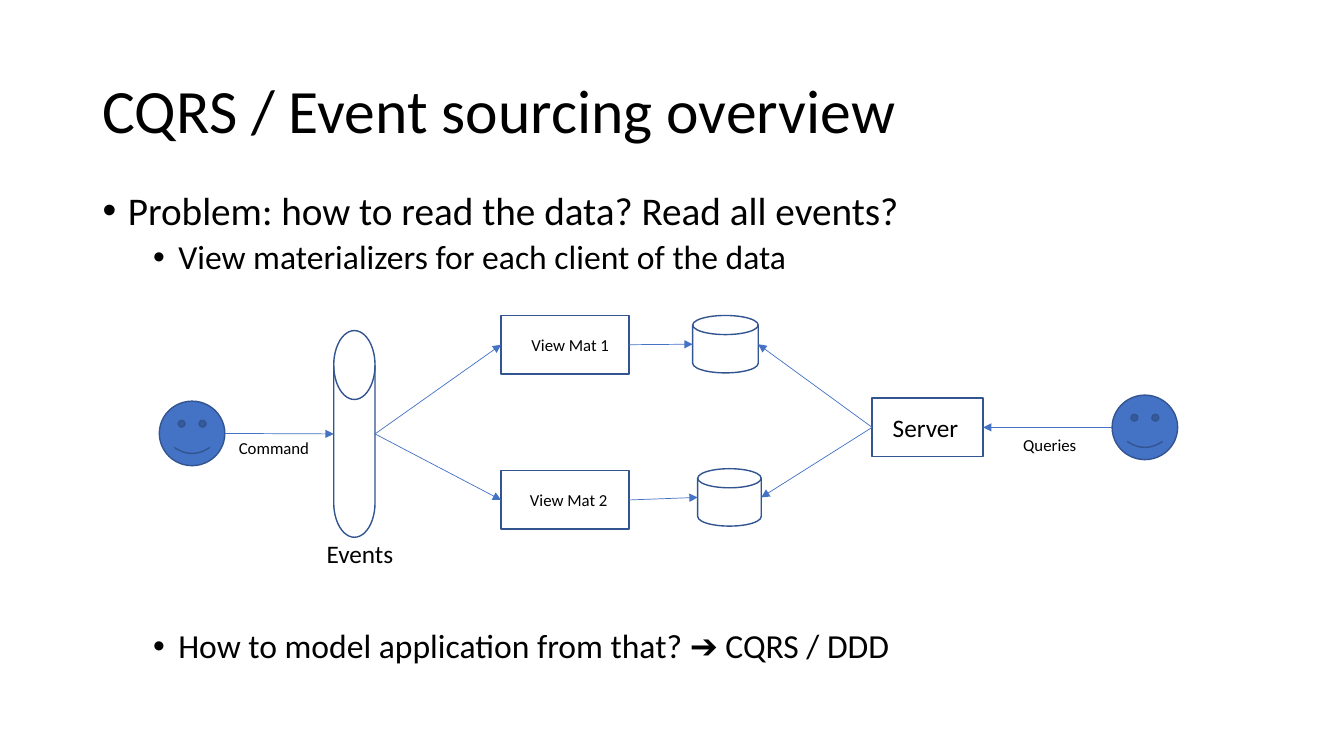
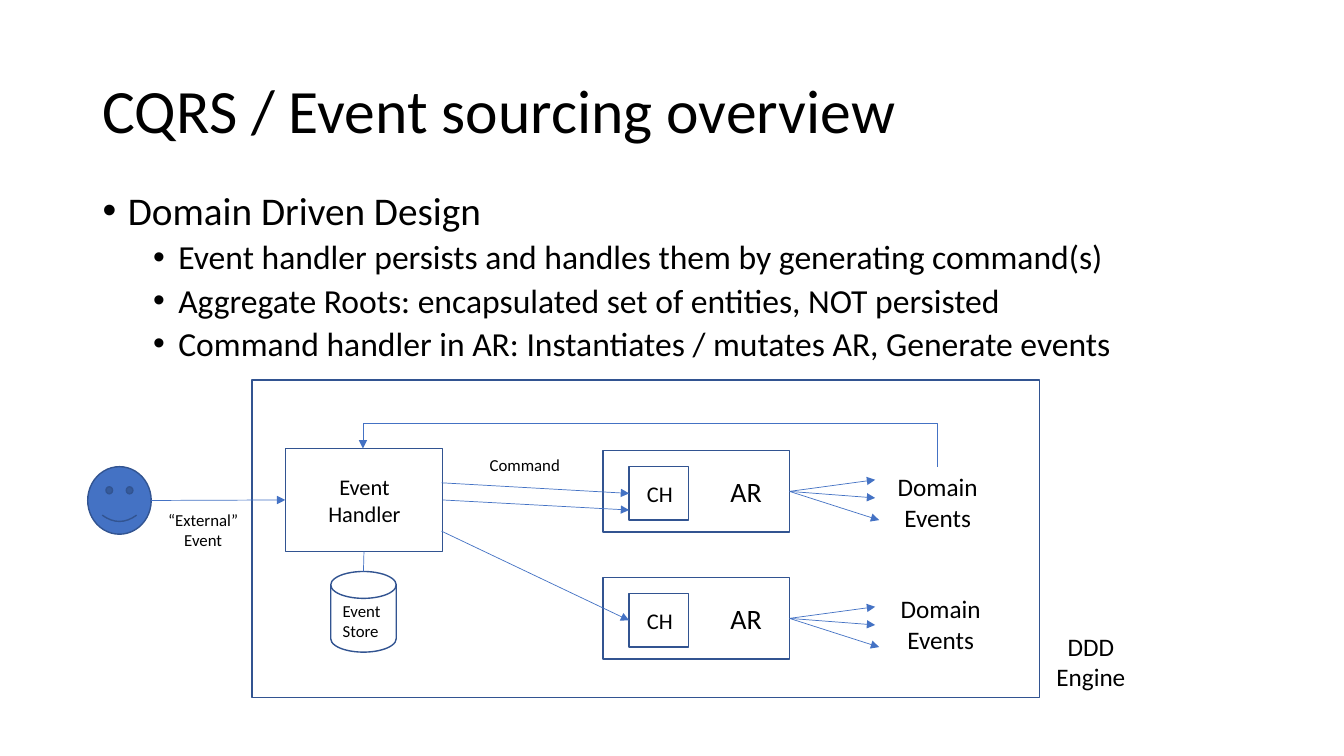
import pptx
import pptx.dml.color
import pptx.enum.shapes
import pptx.enum.text
import pptx.oxml.ns
import pptx.util
from lxml import etree

Inches = pptx.util.Inches
Pt = pptx.util.Pt
qn = pptx.oxml.ns.qn
ALIGN = pptx.enum.text.PP_ALIGN
ANCHOR = pptx.enum.text.MSO_ANCHOR
SHAPE = pptx.enum.shapes.MSO_SHAPE
CONNECTOR = pptx.enum.shapes.MSO_CONNECTOR

FONT = "Calibri"
BLACK, BLUE, OUTLINE = "000000", "4472C4", "325491"
TITLE_AREA = (0.92, 0.4, 11.5, 1.45)
BODY_AREA = (0.92, 1.85, 11.5, 4.91)
BULLETS = [
    {"size": 28, "indent": 0.25, "before": 10},
    {"size": 24, "indent": 0.75, "before": 5},
]
KINDS = {
    "face": SHAPE.SMILEY_FACE,
    "disk": SHAPE.FLOWCHART_MAGNETIC_DISK,
    "box": SHAPE.RECTANGLE,
}
SIDES = {
    "top": (0, 0.5, 0),
    "left": (1, 0, 0.5),
    "bottom": (2, 0.5, 1),
    "right": (3, 1, 0.5),
}

AR_ROWS = [("1", 4.47), ("2", 5.73)]
FAN_TIPS = [(8.68, 0.29), (8.68, 0.47), (8.72, 0.69)]

SLIDES = [
    {
        "title": "CQRS / Event sourcing overview",
        "bullets": [
            (0, "Problem: how to read the data? Read all events?"),
            (1, "View materializers for each client of the data"),
            (1, "How to model application from that? ➔ CQRS / DDD", 252),
        ],
        "shapes": [
            ("writer", "face", (1.58, 3.98, 0.65, 0.64)),
            ("events", "disk", (3.31, 3.28, 0.41, 2.05)),
            ("reader", "face", (11.03, 3.92, 0.65, 0.64)),
            ("store 1", "disk", (6.87, 3.13, 0.65, 0.57)),
            ("view 1", "box", (4.97, 3.13, 1.27, 0.58), "View Mat 1", 12, (0.2, 0.1)),
            ("store 2", "disk", (6.92, 4.65, 0.63, 0.57)),
            ("view 2", "box", (4.97, 4.67, 1.27, 0.58), "View Mat 2", 12, (0.17, 0.1)),
            ("server", "box", (8.65, 3.95, 1.1, 0.58), "Server", 18, (0.08, 0.12)),
        ],
        "arrows": [
            (("writer", "right"), ("events", "left")),
            (("events", "right"), ("view 1", "left")),
            (("events", "right"), ("view 2", "left")),
            (("reader", "left"), ("server", "right")),
            (("view 1", "right"), ("store 1", "left")),
            (("view 2", "right"), ("store 2", "left")),
            (("server", "left"), ("store 1", "right")),
            (("server", "left"), ("store 2", "right")),
        ],
        "links": [],
        "loops": [],
        "labels": [
            ((3.14, 5.29, 0.98, 0.4), ["Events"], 18, "left"),
            ((2.27, 4.29, 0.98, 0.3), ["Command"], 12, "left"),
            ((10.05, 4.26, 0.98, 0.3), ["Queries"], 12, "left"),
        ],
    },
    {
        "title": "CQRS / Event sourcing overview",
        "bullets": [
            (0, "Domain Driven Design"),
            (1, "Event handler persists and handles them by generating command(s)"),
            (1, "Aggregate Roots: encapsulated set of entities, NOT persisted"),
            (1, "Command handler in AR: Instantiates / mutates AR, Generate events"),
        ],
        "shapes": [
            ("engine", "box", (2.5, 3.77, 7.81, 3.15)),
            ("sender", "face", (0.87, 4.63, 0.63, 0.67)),
            ("handler", "box", (2.83, 4.45, 1.56, 1.02), "Event Handler", 16, (0.37, 0.36)),
            ("store", "disk", (3.28, 5.67, 0.65, 0.8)),
        ] + [
            shape
            for row, top in AR_ROWS
            for shape in (
                ("AR " + row, "box", (5.98, top, 1.85, 0.81), "AR", 20, (1.09, 0.1)),
                ("CH " + row, "box", (6.24, top + 0.16, 0.59, 0.53), "CH", 16, (0.1, 0.08)),
            )
        ],
        "arrows": [
            (("sender", "right"), ("handler", "left")),
            ((4.38, 4.79), ("CH 1", "left")),
            (("handler", "right"), (6.24, 5.06)),
            ((4.38, 5.27), ("CH 2", "left")),
        ] + [
            (("AR " + row, "right"), (x, top + drop))
            for row, top in AR_ROWS
            for x, drop in FAN_TIPS
        ],
        "links": [(("handler", "bottom"), ("store", "top"))],
        "loops": [((9.3, 4.63), (3.6, 4.45), 4.2)],
        "labels": [
            ((3.3, 5.91, 0.63, 0.52), ["Event", "Store"], 12, "left"),
            ((1.52, 5.01, 0.99, 0.5), ["“External” Event"], 12, "center"),
            ((4.71, 4.46, 0.99, 0.3), ["Command"], 12, "center"),
            ((8.78, 4.63, 1.04, 0.71), ["Domain Events"], 18, "center"),
            ((8.81, 5.84, 1.04, 0.71), ["Domain Events"], 18, "center"),
            ((10.3, 6.21, 1.04, 0.71), ["DDD Engine"], 18, "center"),
        ],
    },
]


def color(value):
    return pptx.dml.color.RGBColor.from_string(value)


def lengths(values):
    return [Inches(value) for value in values]


def add_span(para, text, size):
    span = para.add_run()
    span.text = text
    span.font.name = FONT
    span.font.size = Pt(size)
    span.font.color.rgb = color(BLACK)


def add_text(page, area, lines, size, align="left", anchor=ANCHOR.TOP):
    frame = page.shapes.add_textbox(*lengths(area)).text_frame
    frame.word_wrap = True
    frame.vertical_anchor = anchor
    for index, line in enumerate(lines):
        para = frame.add_paragraph() if index else frame.paragraphs[0]
        para.alignment = ALIGN.CENTER if align == "center" else ALIGN.LEFT
        add_span(para, line, size)
    return frame


def add_bullets(page, bullets):
    frame = page.shapes.add_textbox(*lengths(BODY_AREA)).text_frame
    frame.word_wrap = True
    for index, (level, text, *extra) in enumerate(bullets):
        style = BULLETS[level]
        para = frame.add_paragraph() if index else frame.paragraphs[0]
        para.level = level
        para.line_spacing = 0.9
        para.space_before = Pt(extra[0] if extra else style["before"])
        add_span(para, text, style["size"])
        props = para._p.get_or_add_pPr()
        props.set("marL", str(Inches(style["indent"])))
        props.set("indent", str(Inches(-0.25)))
        etree.SubElement(props, qn("a:buFont"), typeface="Arial")
        etree.SubElement(props, qn("a:buChar"), char="•")


def add_node(page, kind, area, text="", size=12, insets=(0.1, 0.1)):
    shape = page.shapes.add_shape(KINDS[kind], *lengths(area))
    shape.shadow.inherit = False
    shape.line.color.rgb = color(OUTLINE)
    shape.line.width = Pt(1)
    if kind == "face":
        shape.fill.solid()
        shape.fill.fore_color.rgb = color(BLUE)
    else:
        shape.fill.background()
    if text:
        frame = shape.text_frame
        frame.word_wrap = True
        frame.vertical_anchor = ANCHOR.MIDDLE
        frame.margin_left, frame.margin_right = lengths(insets)
        frame.paragraphs[0].alignment = ALIGN.CENTER
        add_span(frame.paragraphs[0], text, size)
    return shape


def locate(end, nodes):
    if end[0] not in nodes:
        return lengths(end)
    shape = nodes[end[0]]
    _, across, down = SIDES[end[1]]
    return [int(shape.left + shape.width * across), int(shape.top + shape.height * down)]


def style_connector(connector, arrow):
    connector.line.color.rgb = color(BLUE)
    connector.line.width = Pt(0.5)
    if arrow:
        etree.SubElement(connector.line._get_or_add_ln(), qn("a:tailEnd"), type="triangle")
    etree.SubElement(connector._element.spPr, qn("a:effectLst"))


def add_link(page, nodes, start, end, arrow):
    connector = page.shapes.add_connector(
        CONNECTOR.STRAIGHT, *locate(start, nodes), *locate(end, nodes))
    for join, point in ((connector.begin_connect, start), (connector.end_connect, end)):
        shape = nodes.get(point[0])
        if shape is not None and shape.auto_shape_type == SHAPE.RECTANGLE:
            join(shape, SIDES[point[1]][0])
    style_connector(connector, arrow)


def add_loop(page, start, end, crest):
    middle_x, middle_y = (start[0] + end[0]) / 2, (start[1] + end[1]) / 2
    rise, reach = start[1] - end[1], start[0] - end[0]
    connector = page.shapes.add_connector(CONNECTOR.ELBOW, *lengths((
        middle_x - rise / 2, middle_y + reach / 2,
        middle_x + rise / 2, middle_y - reach / 2)))
    props = connector._element.spPr
    props.find(qn("a:xfrm")).set("rot", str(270 * 60000))
    bend = round((start[1] - crest) / rise * 100000)
    guides = props.find(qn("a:prstGeom")).find(qn("a:avLst"))
    etree.SubElement(guides, qn("a:gd"), name="adj1", fmla=f"val {bend}")
    style_connector(connector, True)


def build_page(deck, content):
    page = deck.slides.add_slide(deck.slide_layouts[6])
    nodes = {name: add_node(page, *details) for name, *details in content["shapes"]}
    title = add_text(page, TITLE_AREA, [content["title"]], 44, anchor=ANCHOR.MIDDLE)
    title.paragraphs[0].line_spacing = 0.9
    add_bullets(page, content["bullets"])
    for key, arrow in (("arrows", True), ("links", False)):
        for start, end in content[key]:
            add_link(page, nodes, start, end, arrow)
    for loop in content["loops"]:
        add_loop(page, *loop)
    for label in content["labels"]:
        add_text(page, *label)


def main():
    deck = pptx.Presentation()
    deck.slide_width, deck.slide_height = lengths((13.33, 7.5))
    for content in SLIDES:
        build_page(deck, content)
    deck.save("out.pptx")


if __name__ == "__main__":
    main()
